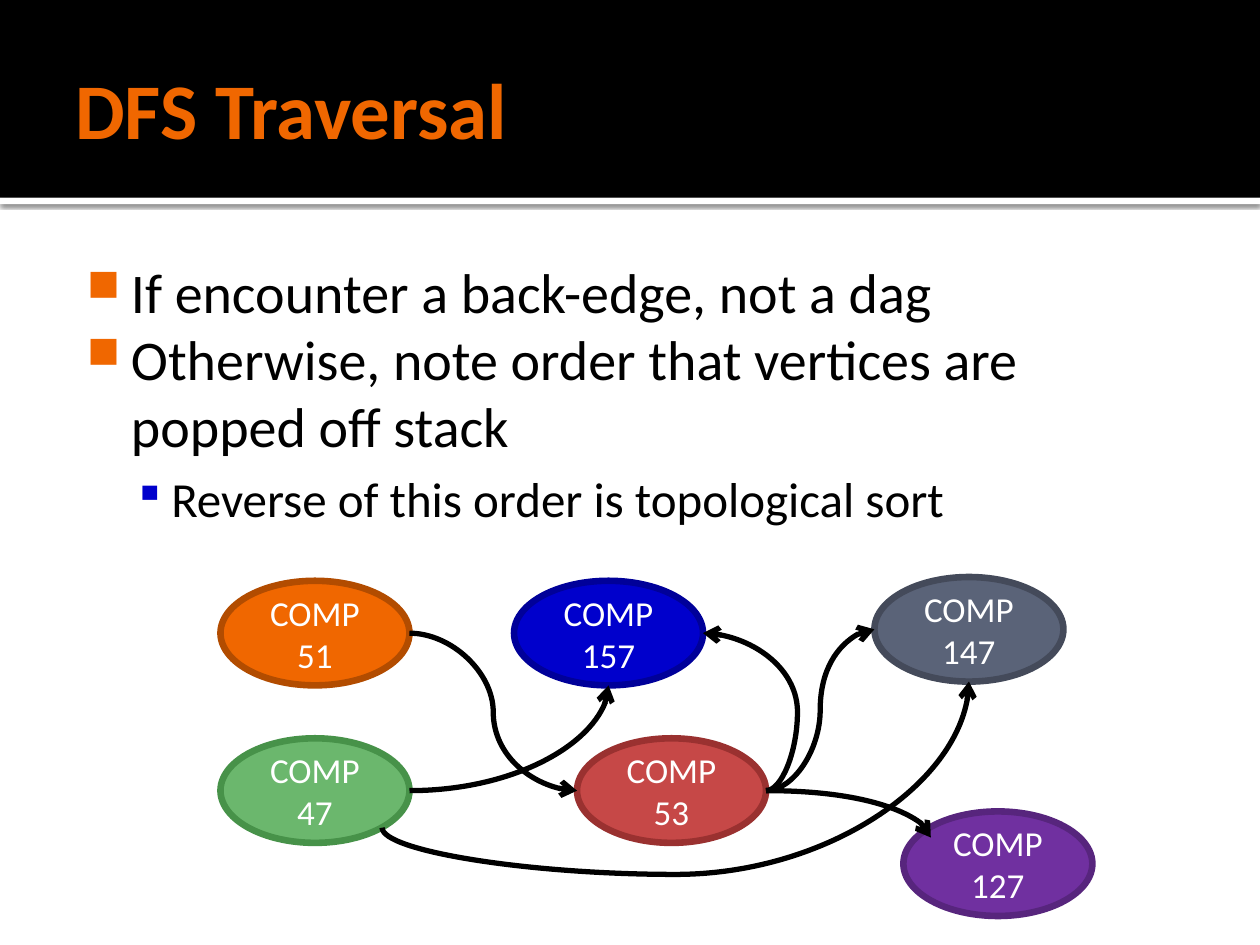
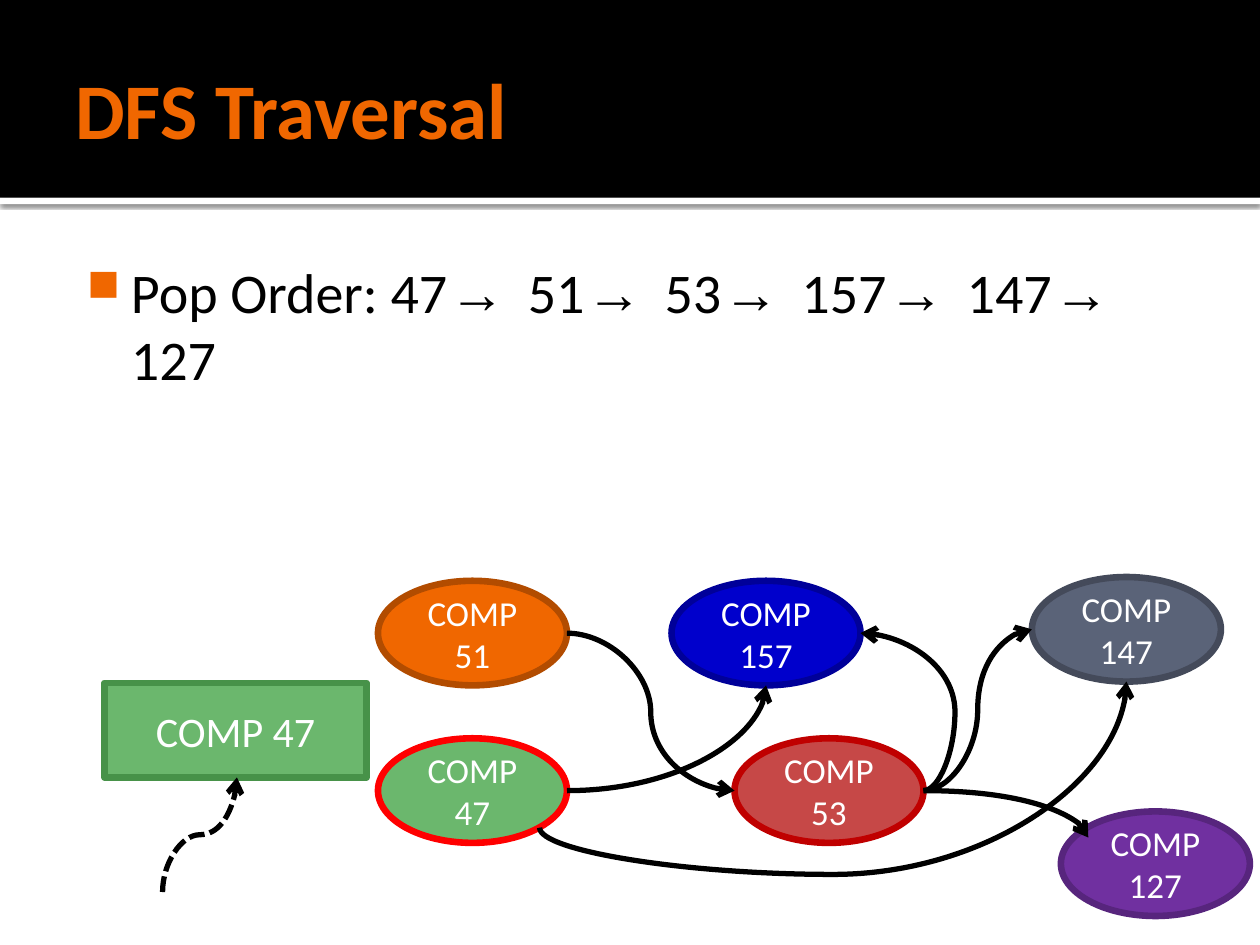
from lxml import etree
from pptx import Presentation
from pptx.dml.color import RGBColor
from pptx.enum.dml import MSO_LINE
from pptx.enum.shapes import MSO_CONNECTOR, MSO_SHAPE
from pptx.enum.text import MSO_ANCHOR, PP_ALIGN
from pptx.oxml import parse_xml
from pptx.oxml.ns import nsdecls, qn
from pptx.util import Inches, Pt

RECTANGLE, ELLIPSE = MSO_SHAPE.RECTANGLE, MSO_SHAPE.OVAL
CURVE, DASHED = MSO_CONNECTOR.CURVE, MSO_LINE.SQUARE_DOT
TOP, MIDDLE = MSO_ANCHOR.TOP, MSO_ANCHOR.MIDDLE
CENTER = PP_ALIGN.CENTER

BLACK = RGBColor(0x00, 0x00, 0x00)
WHITE = RGBColor(0xFF, 0xFF, 0xFF)
ORANGE = RGBColor(0xF0, 0x67, 0x00)
DARK_ORANGE = RGBColor(0xB2, 0x4C, 0x00)
GREEN = RGBColor(0x6B, 0xB7, 0x6D)
DARK_GREEN = RGBColor(0x47, 0x92, 0x49)
BRICK = RGBColor(0xC6, 0x48, 0x47)
DARK_BRICK = RGBColor(0x9A, 0x31, 0x30)
BLUE = RGBColor(0x00, 0x00, 0xCC)
DARK_BLUE = RGBColor(0x00, 0x00, 0x99)
PURPLE = RGBColor(0x70, 0x30, 0xA0)
DARK_PURPLE = RGBColor(0x57, 0x25, 0x7D)
SLATE = RGBColor(0x5A, 0x63, 0x78)
DARK_SLATE = RGBColor(0x44, 0x4A, 0x5A)
RED = RGBColor(0xFF, 0x00, 0x00)
DARK_RED = RGBColor(0xC0, 0x00, 0x00)

BODY_FONT, ARROW_FONT = "Calibri", "Courier New"
COURSE_WIDTH, COURSE_HEIGHT = 1.5, 0.83

COURSES = {
    "51": (1.75, 4.61, ORANGE, DARK_ORANGE),
    "47": (1.75, 5.86, GREEN, DARK_GREEN),
    "53": (4.58, 5.86, BRICK, DARK_BRICK),
    "157": (4.08, 4.61, BLUE, DARK_BLUE),
    "127": (7.17, 6.44, PURPLE, DARK_PURPLE),
    "147": (6.94, 4.58, SLATE, DARK_SLATE),
}
SITES = {
    "left": (-1, 0),
    "right": (1, 0),
    "bottom": (0, 1),
    "lower right": (0.71, 0.71),
    "upper left": (-0.71, -0.5),
}
PREREQUISITES = [
    ("51", "right", "53", "left", {}),
    ("53", "right", "127", "upper left", {"bends": 2}),
    ("53", "right", "147", "left", {}),
    ("53", "right", "157", "right", {"middle": -0.5}),
    ("47", "right", "157", "bottom", {"bends": 2}),
    ("47", "lower right", "147", "bottom", {"middle": -0.32, "upright": True}),
]
BULLETS = [
    {"char": "■", "color": ORANGE, "percent": 80, "left": 0.48, "hang": 0.35,
     "size": 32, "before": 0},
    {"char": "▪", "color": BLUE, "percent": 90, "left": 0.8, "hang": 0.3,
     "size": 28, "before": 5.6},
]


class TraversalDeck:
    def __init__(self):
        self.deck = Presentation()
        self.deck.slide_width, self.deck.slide_height = Inches(10), Inches(7.5)
        self.page = None

    def add_page(self, title):
        self.page = self.deck.slides.add_slide(self.deck.slide_layouts[6])
        strip = self.block(RECTANGLE, (0, 1.57, 10, 0.05), WHITE)
        self.cast_shadow(strip)
        self.block(RECTANGLE, (0, 0, 10, 1.57), BLACK)
        frame = self.text_box((0.5, 0.17, 9, 1.37), (0.1, 0.05, 0.05, 0.05), MIDDLE)
        para = frame.paragraphs[0]
        para.text = title
        self.style(para.font, 45, ORANGE, bold=True)

    def style(self, font, size, color, bold=False):
        font.name, font.size, font.bold = BODY_FONT, Pt(size), bold
        font.color.rgb = color

    def cast_shadow(self, shape):
        effects = shape._element.spPr.find(qn("a:effectLst"))
        effects.append(parse_xml(
            f'<a:outerShdw {nsdecls("a")} blurRad="{Pt(2.5)}" dist="{Pt(0.8)}" '
            'dir="5400000" algn="tl" rotWithShape="0"><a:srgbClr val="000000">'
            '<a:alpha val="60000"/></a:srgbClr></a:outerShdw>'))

    def block(self, kind, place, fill, border=None, label="", size=20):
        shape = self.page.shapes.add_shape(kind, *map(Inches, place))
        shape.shadow.inherit = False
        shape.fill.solid()
        shape.fill.fore_color.rgb = fill
        if border is None:
            shape.line.fill.background()
        else:
            shape.line.color.rgb = border
            shape.line.width = Pt(3.78)
        if label:
            shape.text_frame.vertical_anchor = MIDDLE
            para = shape.text_frame.paragraphs[0]
            para.text, para.alignment = label, CENTER
            self.style(para.font, size, WHITE)

    
        return shape

    def text_box(self, place, margins, anchor):
        frame = self.page.shapes.add_textbox(*map(Inches, place)).text_frame
        frame.word_wrap, frame.vertical_anchor = True, anchor
        (frame.margin_left, frame.margin_top,
         frame.margin_right, frame.margin_bottom) = map(Inches, margins)
        return frame

    def bullet_list(self, items):
        frame = self.text_box((0.5, 1.94, 9, 5.06), (0.06, 0.1, 0.1, 0.05), TOP)
        for index, (level, spans) in enumerate(items):
            para = frame.add_paragraph() if index else frame.paragraphs[0]
            bullet = BULLETS[level]
            para.level = level
            para.space_before = Pt(bullet["before"])
            self.add_bullet(para, bullet)
            self.style(para.font, bullet["size"], BLACK)
            for text, font_name in spans:
                span = para.add_run()
                span.text = text
                self.style(span.font, bullet["size"], BLACK)
                span.font.name = font_name

    def add_bullet(self, para, bullet):
        properties = para._p.get_or_add_pPr()
        properties.set("marL", str(Inches(bullet["left"])))
        properties.set("indent", str(-Inches(bullet["hang"])))
        color = etree.SubElement(properties, qn("a:buClr"))
        etree.SubElement(color, qn("a:srgbClr"), val=str(bullet["color"]))
        etree.SubElement(properties, qn("a:buSzPct"), val=str(bullet["percent"] * 1000))
        etree.SubElement(properties, qn("a:buChar"), char=bullet["char"])

    def arrow(self, start, end, bends=3, middle=0.5, upright=False, dashed=False):
        if upright:
            center_x, center_y = ((a + b) / 2 for a, b in zip(start, end))
            start, end = ((center_x + y - center_y, center_y - x + center_x)
                          for x, y in (start, end))
        connector = self.page.shapes.add_connector(CURVE, *map(Inches, (*start, *end)))
        if upright:
            connector.rotation = 90
        connector.line.color.rgb, connector.line.width = BLACK, Pt(3)
        if dashed:
            connector.line.dash_style = DASHED
        properties = connector._element.spPr
        geometry = properties.find(qn("a:prstGeom"))
        geometry.set("prst", f"curvedConnector{bends}")
        if bends == 3:
            etree.SubElement(geometry.find(qn("a:avLst")), qn("a:gd"),
                             name="adj1", fmla=f"val {round(middle * 100000)}")
        etree.SubElement(properties.find(qn("a:ln")), qn("a:tailEnd"), type="arrow")
        etree.SubElement(properties, qn("a:effectLst"))

    def course_graph(self, shift=0, borders={}):
        for number, (left, top, fill, border) in COURSES.items():
            self.block(ELLIPSE, (left + shift, top, COURSE_WIDTH, COURSE_HEIGHT),
                       fill, borders.get(number, border), f"COMP {number}")
        for source, leaving, target, entering, bend in PREREQUISITES:
            self.arrow(self.site(source, leaving, shift),
                       self.site(target, entering, shift), **bend)

    def site(self, number, side, shift):
        left, top = COURSES[number][:2]
        across, down = SITES[side]
        return (left + shift + COURSE_WIDTH / 2 * (1 + across),
                top + COURSE_HEIGHT / 2 * (1 + down))


def main():
    traversal = TraversalDeck()

    traversal.add_page("DFS Traversal")
    traversal.bullet_list([
        (0, [("If encounter a back-edge, not a dag", BODY_FONT)]),
        (0, [("Otherwise, note order that vertices are popped off stack", BODY_FONT)]),
        (1, [("Reverse of this order is topological sort", BODY_FONT)]),
    ])
    traversal.course_graph()

    traversal.add_page("DFS Traversal")
    pop_order = [("Pop Order: 47 ", BODY_FONT)]
    for number in ("51 ", "53 ", "157 ", "147 "):
        pop_order += [("→ ", ARROW_FONT), (number, BODY_FONT)]
    pop_order += [("→", ARROW_FONT), (" 127", BODY_FONT)]
    traversal.bullet_list([(0, pop_order)])
    traversal.course_graph(shift=1.25, borders={"47": RED, "53": DARK_RED})
    traversal.block(RECTANGLE, (0.83, 5.42, 2.08, 0.75), GREEN, DARK_GREEN,
                    "COMP 47", size=24)
    traversal.arrow((1.29, 7.08), (1.88, 6.17), upright=True, dashed=True)

    traversal.deck.save("out.pptx")


if __name__ == "__main__":
    main()
